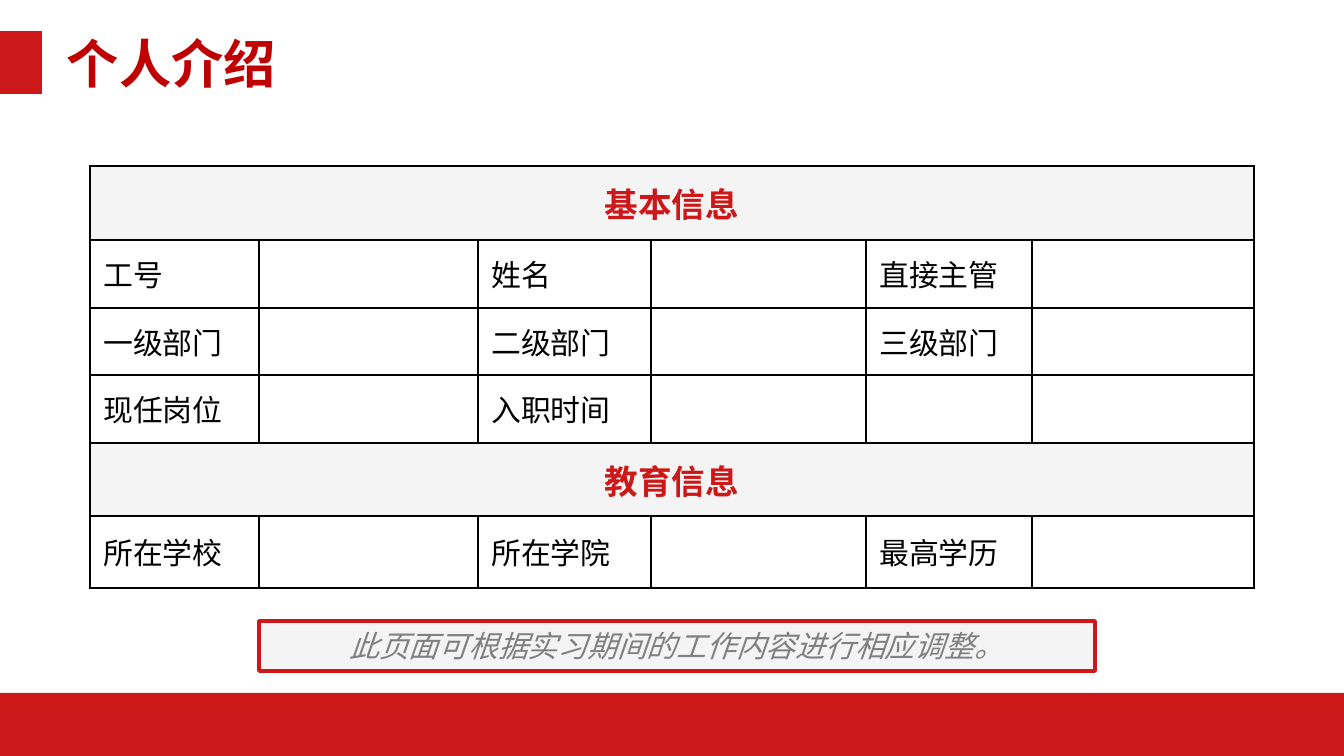
import pptx
import pptx.dml.color
import pptx.enum.shapes
import pptx.enum.text
import pptx.oxml
import pptx.oxml.ns
import pptx.util
from dataclasses import dataclass


@dataclass(frozen=True)
class Theme:
    font: str = "Noto Sans CJK SC"
    red: str = "CC1818"
    title_red: str = "C00000"
    panel: str = "F4F4F4"
    white: str = "FFFFFF"
    black: str = "000000"
    grey: str = "808080"
    title_size: int = 28
    section_size: int = 18
    body_size: int = 16


theme = Theme()
rgb = pptx.dml.color.RGBColor.from_string
PIXEL = 914400 / 134.4
center = pptx.enum.text.PP_ALIGN.CENTER
middle = pptx.enum.text.MSO_ANCHOR.MIDDLE


def px(pixels):
    return pptx.util.Emu(round(pixels * PIXEL))


def style(paragraph, size, color, align=pptx.enum.text.PP_ALIGN.LEFT, bold=False, italic=False):
    paragraph.alignment = align
    font = paragraph.font
    font.name, font.size = theme.font, pptx.util.Pt(size)
    font.bold, font.italic = bold, italic
    font.color.rgb = rgb(color)
    # East Asian glyphs take their typeface from a:ea
    east_asian = pptx.oxml.parse_xml(
        f'<a:ea {pptx.oxml.ns.nsdecls("a")} typeface="{theme.font}"/>')
    font._element.find(pptx.oxml.ns.qn("a:latin")).addnext(east_asian)


presentation = pptx.Presentation()
presentation.slide_width, presentation.slide_height = px(1344), px(756)
slide = presentation.slides.add_slide(presentation.slide_layouts[5])
slide.background.fill.solid()
slide.background.fill.fore_color.rgb = rgb(theme.white)

# Red footer band, title marker and framed note
boxes = [
    (0, 693, 1344, 63, theme.red, None),
    (0, 31, 42, 63, theme.red, None),
    (259, 621, 836, 50, theme.panel, theme.red),
]
for left, top, width, height, fill, outline in boxes:
    shape = slide.shapes.add_shape(
        pptx.enum.shapes.MSO_SHAPE.RECTANGLE, px(left), px(top), px(width), px(height))
    shape.shadow.inherit = False
    shape.fill.solid()
    shape.fill.fore_color.rgb = rgb(fill)
    if outline:
        shape.line.color.rgb = rgb(outline)
        shape.line.width = pptx.util.Pt(2)
    else:
        shape.line.fill.background()

note = shape.text_frame
note.text = "此页面可根据实习期间的工作内容进行相应调整。"
note.vertical_anchor = middle
style(note.paragraphs[0], theme.body_size, theme.grey, center, italic=True)

# Title
title = slide.shapes.title
title.left, title.top, title.width, title.height = px(42), px(31), px(1260), px(64)
title.text_frame.text = "个人介绍"
title.text_frame.margin_left = px(25)
title.text_frame.vertical_anchor = middle
title.text_frame.auto_size = pptx.enum.text.MSO_AUTO_SIZE.NONE
style(title.text_frame.paragraphs[0], theme.title_size, theme.title_red, bold=True)

# Personal information table: a one-item row is a section heading,
# other rows hold labels, each followed by an empty answer cell
rows = [
    ["基本信息"],
    ["工号", "姓名", "直接主管"],
    ["一级部门", "二级部门", "三级部门"],
    ["现任岗位", "入职时间", ""],
    ["教育信息"],
    ["所在学校", "所在学院", "最高学历"],
]
column_widths = [169, 219, 173, 215, 166, 222]
row_heights = [74, 68, 67, 68, 73, 72]
table = slide.shapes.add_table(
    len(rows), len(column_widths), px(90), px(166),
    px(sum(column_widths)), px(sum(row_heights))).table
for column, width in zip(table.columns, column_widths):
    column.width = px(width)
for row, height in zip(table.rows, row_heights):
    row.height = px(height)

for row_index, labels in enumerate(rows):
    is_section = len(labels) == 1
    for column_index in range(len(column_widths)):
        cell = table.cell(row_index, column_index)
        cell.vertical_anchor = middle
        cell.fill.solid()
        cell.fill.fore_color.rgb = rgb(theme.panel if is_section else theme.white)
        for position, side in enumerate(("lnL", "lnR", "lnT", "lnB")):
            border = pptx.oxml.parse_xml(
                f'<a:{side} {pptx.oxml.ns.nsdecls("a")} w="12700"><a:solidFill>'
                f'<a:srgbClr val="{theme.black}"/></a:solidFill></a:{side}>')
            cell._tc.get_or_add_tcPr().insert(position, border)
        if not is_section and column_index % 2 == 0:
            cell.text = labels[column_index // 2]
            style(cell.text_frame.paragraphs[0], theme.body_size, theme.black)
    if is_section:
        heading = table.cell(row_index, 0)
        heading.merge(table.cell(row_index, len(column_widths) - 1))
        heading.text = labels[0]
        style(heading.text_frame.paragraphs[0], theme.section_size, theme.red, center, bold=True)

presentation.save("out.pptx")
